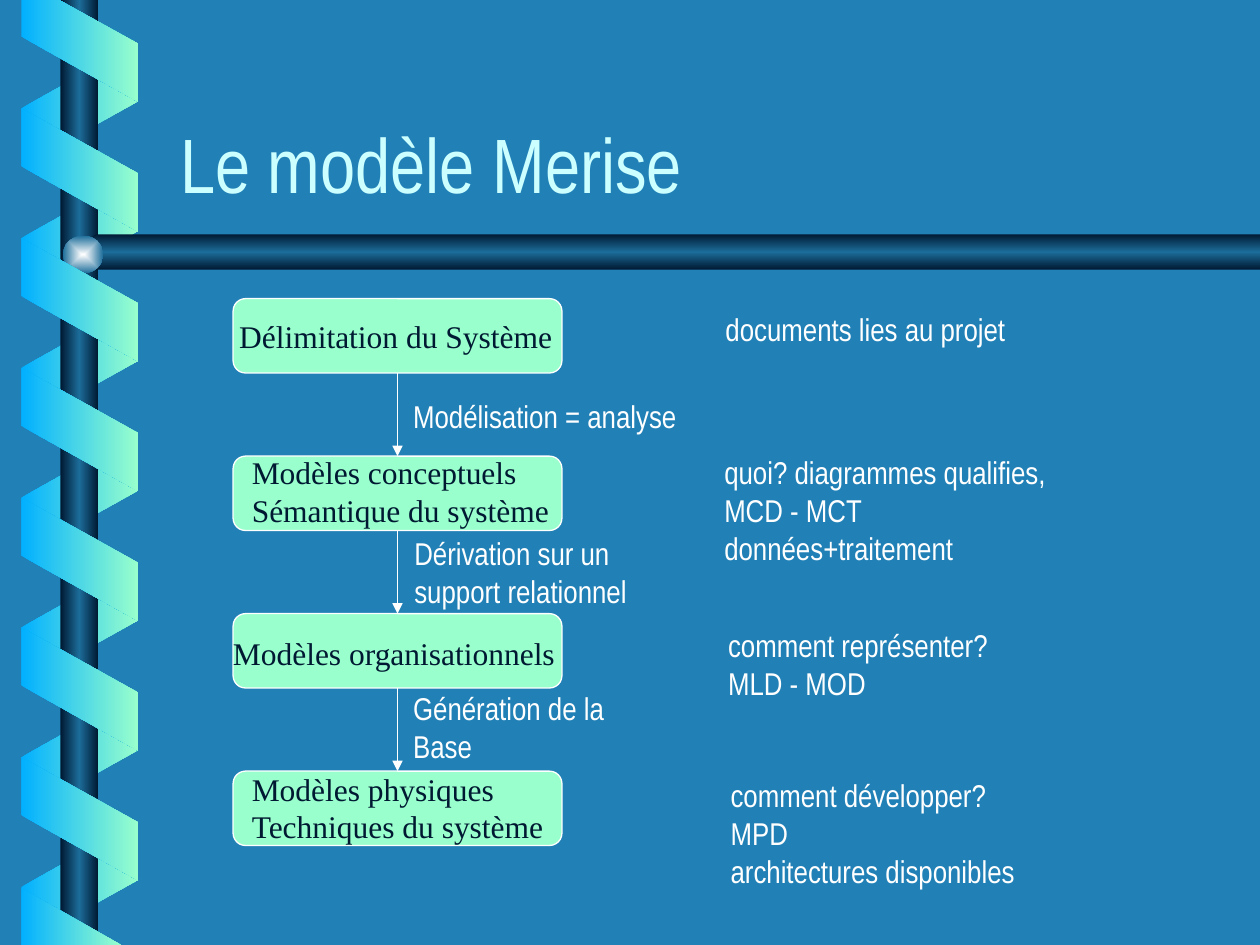
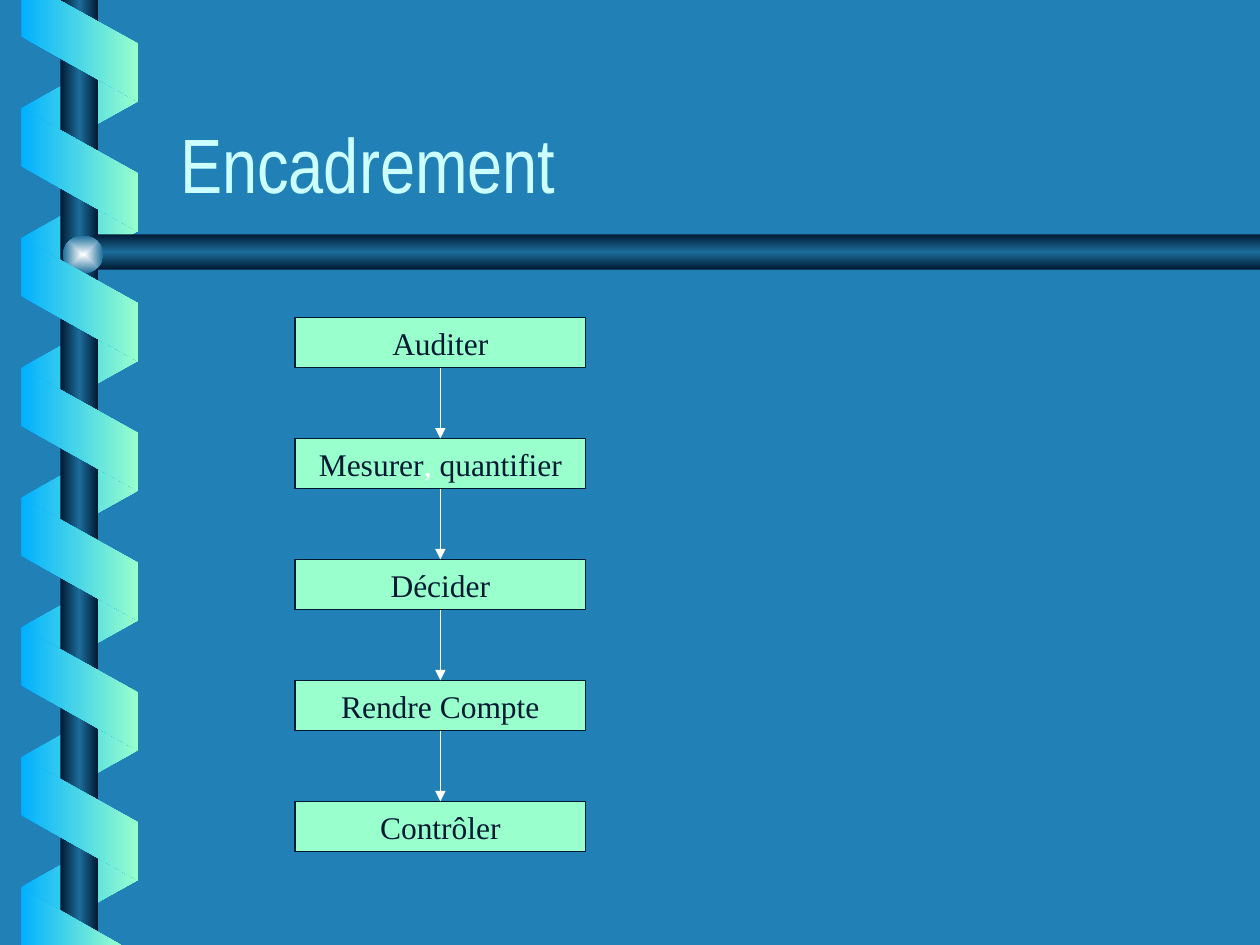
"""Build two slides on the Merise model and its management steps."""
from pptx import Presentation
from pptx.dml.color import RGBColor
from pptx.enum.shapes import MSO_CONNECTOR as LINK, MSO_SHAPE as SHAPE
from pptx.enum.text import MSO_ANCHOR as ANCHOR, MSO_AUTO_SIZE as FIT, PP_ALIGN as ALIGN
from pptx.oxml import parse_xml
from pptx.oxml.ns import nsdecls, qn
from pptx.util import Inches, Pt

BLUE, NAVY, STEEL, SKY = "2181B7", "001932", "1C6D9A", "01B0FF"
MINT, PALE, WHITE = "99FFCC", "CCFFFF", "FFFFFF"
SANS, SERIF = "Arial Narrow", "Times New Roman"
ACROSS = '<a:lin ang="0" scaled="0"/>'
DOWN = '<a:lin ang="5400000" scaled="0"/>'
RADIAL = '<a:path path="rect"><a:fillToRect l="50000" t="50000" r="50000" b="50000"/></a:path>'


def paint(part, hue):
    if hasattr(part, "solid"):
        part.solid()
        part.fore_color.rgb = RGBColor.from_string(hue)
    else:
        part.color.rgb = RGBColor.from_string(hue)


def shade(shape, hues, course):
    shape.shadow.inherit = False
    shape.line.fill.background()
    shape.fill.background()
    step = 100000 // (len(hues) - 1)
    stops = "".join(f'<a:gs pos="{n * step}"><a:srgbClr val="{hue}"/></a:gs>'
                    for n, hue in enumerate(hues))
    grad = parse_xml(f'<a:gradFill {nsdecls("a")} rotWithShape="1">'
                     f'<a:gsLst>{stops}</a:gsLst>{course}</a:gradFill>')
    props = shape.element.spPr
    props.replace(props.find(qn("a:noFill")), grad)


prs = Presentation()
prs.slide_width, prs.slide_height = Inches(10), Inches(7.5)
layout = prs.slide_layouts[5]
paint(layout.background.fill, BLUE)
for holder in list(layout.placeholders):
    if holder.placeholder_format.idx:
        holder.element.getparent().remove(holder.element)
    else:
        holder.left, holder.top = Inches(1.33), Inches(0.46)
        holder.width, holder.height = Inches(8.5), Inches(1.25)

slides = []
for title in ("Le modèle Merise", "Encadrement"):
    slide = prs.slides.add_slide(layout)
    frame = slide.shapes.title.text_frame
    frame.text = title
    frame.auto_size = FIT.NONE
    frame.vertical_anchor = ANCHOR.BOTTOM
    para = frame.paragraphs[0]
    para.alignment = ALIGN.LEFT
    para.font.name, para.font.size = SANS, Pt(44)
    paint(para.font, PALE)
    slides.append(slide)
merise, staff = slides

west, east, side, pitch = 0.17, 1.1, 0.46, 1.03
back, front = [], []
for n in range(7):
    top = 0.34 + n * pitch
    back.append([(west, top + 0.52), (east, top), (east, top + side), (west, top + 0.98)])
for n in range(6):
    top = 0.86 + n * pitch
    front.append([(west, top), (east, top + 0.52), (east, top + 0.98), (west, top + side)])
front.append([(west, 0), (west, 0.29), (east, 0.81), (east, 0.35), (0.47, 0)])
front.append([(0.96, 7.5), (west, 7.05), (west, 7.5)])
bar = [(10, 1.86), (0.76, 1.86), (0.6, 2), (0.76, 2.14), (10, 2.14)]
METAL = [NAVY, STEEL, NAVY]

decor = []
pieces = [(pts, [SKY, MINT], ACROSS) for pts in back]
pieces += [(None, METAL, ACROSS), (bar, METAL, DOWN), (None, [WHITE, STEEL], RADIAL)]
pieces += [(pts, [SKY, MINT], ACROSS) for pts in front]
for pts, hues, course in pieces:
    if pts:
        spots = [(Inches(x), Inches(y)) for x, y in pts]
        pen = merise.shapes.build_freeform(*spots[0], scale=1.0)
        pen.add_line_segments(spots[1:], close=True)
        shape = pen.convert_to_shape()
    elif course == RADIAL:
        shape = merise.shapes.add_shape(
            SHAPE.OVAL, Inches(0.5), Inches(1.87), Inches(0.32), Inches(0.3))
    else:
        shape = merise.shapes.add_shape(
            SHAPE.RECTANGLE, Inches(0.48), 0, Inches(0.3), Inches(7.5))
    shade(shape, hues, course)
    decor.append(shape)
for shape in decor:
    layout.shapes.element.append(shape.element)

STEPS = [["Auditer"], ["Mesurer", ", ", "quantifier"], ["Décider"],
         ["Rendre Compte"], ["Contrôler"]]
chains = [
    (merise, SHAPE.ROUNDED_RECTANGLE, (1.85, 2.37, 2.61, 0.59), 1.25, WHITE, [[]] * 4),
    (staff, SHAPE.RECTANGLE, (2.34, 2.52, 2.31, 0.4), 0.96, NAVY, STEPS),
]
for slide, kind, (left, top, width, height), gap, edge, labels in chains:
    prior = None
    for n, words in enumerate(labels):
        box = slide.shapes.add_shape(kind, Inches(left), Inches(top + n * gap),
                                     Inches(width), Inches(height))
        box.shadow.inherit = False
        paint(box.fill, MINT)
        paint(box.line, edge)
        box.line.width = Pt(0.75)
        frame = box.text_frame
        frame.vertical_anchor = ANCHOR.MIDDLE
        para = frame.paragraphs[0]
        para.alignment = ALIGN.CENTER
        for word in words:
            run = para.add_run()
            run.text = word
            run.font.name, run.font.size = SERIF, Pt(18)
            paint(run.font, WHITE if word == ", " else NAVY)
        if prior:
            arrow = slide.shapes.add_connector(LINK.STRAIGHT, 0, 0, 0, 0)
            arrow.begin_connect(prior, 2)
            arrow.end_connect(box, 0)
            paint(arrow.line, WHITE)
            arrow.line.width = Pt(0.75)
            props = arrow.element.spPr
            props.find(qn("a:ln")).append(
                parse_xml(f'<a:tailEnd {nsdecls("a")} type="triangle"/>'))
            props.append(parse_xml(f'<a:effectLst {nsdecls("a")}/>'))
        prior = box

notes = [
    (1.8, 2.47, 2.9, SERIF, "Délimitation du Système"),
    (1.9, 3.55, 2.8, SERIF, "Modèles conceptuels\nSémantique du système"),
    (1.75, 4.98, 2.95, SERIF, "Modèles organisationnels"),
    (1.9, 6.06, 2.8, SERIF, "Modèles physiques\nTechniques du système"),
    (3.18, 3.1, 2.88, SANS, "Modélisation = analyse"),
    (3.19, 4.19, 2.46, SANS, "Dérivation sur un\nsupport relationnel"),
    (3.18, 5.42, 2.21, SANS, "Génération de la\nBase"),
    (5.66, 2.41, 3.1, SANS, "documents lies au projet"),
    (5.65, 3.55, 3.5, SANS, "quoi? diagrammes qualifies,\nMCD - MCT\ndonnées+traitement"),
    (5.68, 4.92, 2.95, SANS, "comment représenter?\nMLD - MOD"),
    (5.7, 6.11, 3.15, SANS, "comment développer?\nMPD\narchitectures disponibles"),
]
for left, top, width, face, text in notes:
    height = 0.4 + 0.3 * text.count("\n")
    frame = merise.shapes.add_textbox(Inches(left), Inches(top),
                                      Inches(width), Inches(height)).text_frame
    frame.text = text
    frame.word_wrap = False
    frame.auto_size = FIT.SHAPE_TO_FIT_TEXT
    for para in frame.paragraphs:
        para.font.name, para.font.size = face, Pt(18)
        paint(para.font, NAVY if face == SERIF else WHITE)

prs.save("out.pptx")
